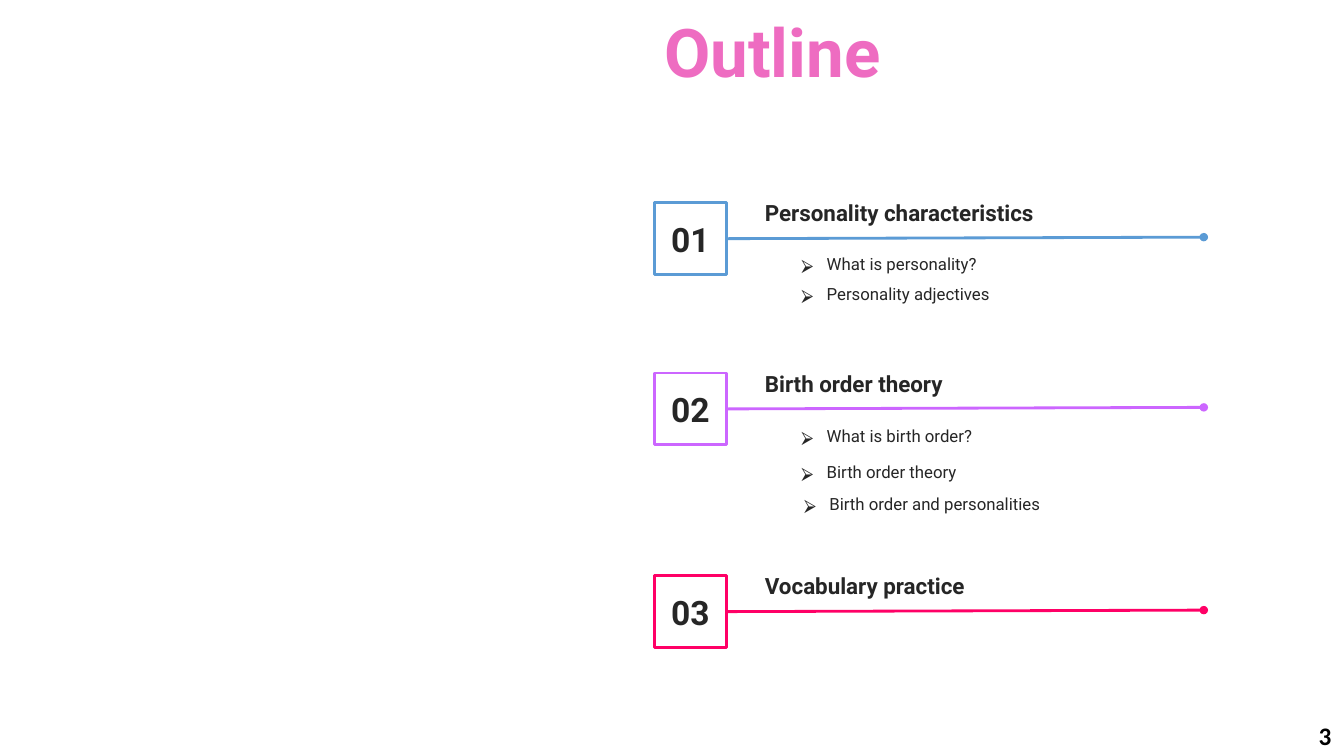
from lxml.etree import SubElement
from pptx import Presentation
from pptx.dml.color import RGBColor
from pptx.enum.shapes import MSO_CONNECTOR, MSO_SHAPE
from pptx.enum.text import MSO_ANCHOR, MSO_AUTO_SIZE, PP_ALIGN
from pptx.oxml.ns import qn
from pptx.util import Pt

INK = "262626"
SQUARE = 51.4
SECTION_LEFT = 467.5
RULE_END = 859.9

# Each list: left and top offsets from the section, height, line spacing, items
SECTIONS = [
    (144.8, "01", "Personality characteristics", "5B9BD5", [
        (97.9, 25.5, 80, 1.5, ["What is personality?", "Personality adjectives"]),
    ]),
    (266.4, "02", "Birth order theory", "CC66FF", [
        (97.9, 34.3, 21.8, None, ["What is birth order?"]),
        (97.9, 59.8, 21.8, None, ["Birth order theory"]),
        (99.8, 82.8, 21.8, None, ["Birth order and personalities"]),
    ]),
    (411.2, "03", "Vocabulary practice", "FF0066", []),
]


def rgb(value):
    return RGBColor.from_string(value)


def add_bullet(paragraph):
    properties = paragraph._p.get_or_add_pPr()
    properties.set("marL", str(Pt(18)))
    properties.set("indent", str(-Pt(18)))
    color = SubElement(properties, qn("a:buClr"))
    SubElement(color, qn("a:srgbClr"), val=INK)
    SubElement(properties, qn("a:buFont"), typeface="Noto Sans Symbols")
    SubElement(properties, qn("a:buChar"), char="⮚")


def add_text(slide, text, left, top, width, height, *, size, font="Roboto",
             color=INK, bold=False, align=PP_ALIGN.LEFT, anchor=MSO_ANCHOR.TOP,
             side_inset=7.2, wrap=True, bullet=False, line_spacing=None):
    """Add a text box with one paragraph per line of text."""
    box = slide.shapes.add_textbox(Pt(left), Pt(top), Pt(width), Pt(height))
    frame = box.text_frame
    frame.word_wrap = wrap
    frame.auto_size = MSO_AUTO_SIZE.SHAPE_TO_FIT_TEXT
    frame.vertical_anchor = anchor
    frame.margin_left = frame.margin_right = Pt(side_inset)
    frame.margin_top = frame.margin_bottom = Pt(3.6)
    frame.text = text
    for paragraph in frame.paragraphs:
        if bullet:
            add_bullet(paragraph)
        paragraph.alignment = align
        if line_spacing:
            paragraph.line_spacing = line_spacing
        for run in paragraph.runs:
            run.font.name = font
            run.font.size = Pt(size)
            run.font.bold = bold
            run.font.color.rgb = rgb(color)


def add_rule(slide, square, end_left, end_top, color):
    """Add a line from the square's right side to a round end."""
    rule = slide.shapes.add_connector(
        MSO_CONNECTOR.STRAIGHT, 0, 0, Pt(end_left), Pt(end_top))
    rule.begin_connect(square, 3)
    rule.line.color.rgb = rgb(color)
    rule.line.width = Pt(2)
    SubElement(rule.line._get_or_add_ln(), qn("a:tailEnd"), type="oval")
    SubElement(rule._element.spPr, qn("a:effectLst"))


def add_section(slide, left, top, number, heading, color, lists):
    square = slide.shapes.add_shape(
        MSO_SHAPE.RECTANGLE, Pt(left), Pt(top), Pt(SQUARE), Pt(SQUARE))
    square.shadow.inherit = False
    square.fill.solid()
    square.fill.fore_color.rgb = rgb("FFFFFF")
    square.line.color.rgb = rgb(color)
    square.line.width = Pt(2)
    add_rule(slide, square, RULE_END, top + 24.6, color)
    add_text(slide, number, left + 3.4, top + 8.2, 44.6, 36, size=24, bold=True,
             align=PP_ALIGN.CENTER, side_inset=3.6, wrap=False)
    add_text(slide, heading, left + 70.3, top - 5.8, 275, 26.6, size=16,
             bold=True, side_inset=8.6)
    for offset_left, offset_top, height, spacing, items in lists:
        add_text(slide, "\n".join(items), left + offset_left, top + offset_top,
                 245.5, height, size=12, bullet=True, line_spacing=spacing)


def build_outline(presentation):
    slide = presentation.slides.add_slide(presentation.slide_layouts[6])
    for top, *details in SECTIONS:
        add_section(slide, SECTION_LEFT, top, *details)
    add_text(slide, "Outline", SECTION_LEFT, 3.6, 299.5, 65.5, size=48,
             color="EE6CC1", bold=True, anchor=MSO_ANCHOR.MIDDLE)
    add_text(slide, "3", 933.1, 511.2, 26.6, 28.8, size=18, font="Calibri",
             color="000000", bold=True, align=PP_ALIGN.CENTER, side_inset=3.6)


def main():
    presentation = Presentation()
    presentation.slide_width = Pt(960)
    presentation.slide_height = Pt(540)
    build_outline(presentation)
    presentation.save("out.pptx")


if __name__ == "__main__":
    main()
